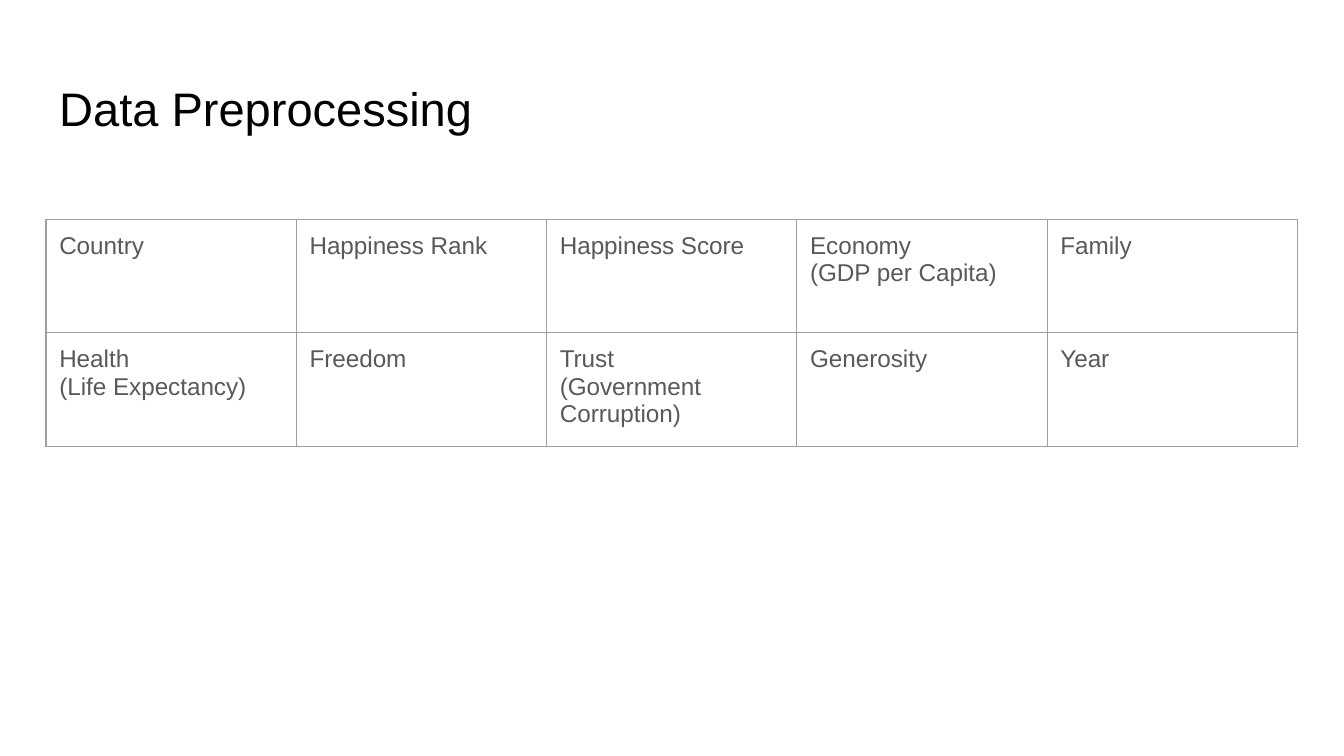
"""Build the Data Preprocessing slide with its table of dataset columns."""
from lxml import etree
from pptx import Presentation
from pptx import util as u
from pptx.dml import color
from pptx.enum import text
from pptx.oxml import ns

COLORS = {"title": "000000", "field": "595959", "border": "9E9E9E"}
INSET = u.Cm(0.25)
FIELDS = [
    ["Country", "Happiness Rank", "Happiness Score", "Economy\n(GDP per Capita)", "Family"],
    ["Health\n(Life Expectancy)", "Freedom", "Trust\n(Government Corruption)", "Generosity", "Year"],
]


def style_text(frame, size, hex_color):
    for paragraph in frame.paragraphs:
        for run in paragraph.runs:
            run.font.name = "Arial"
            run.font.size = u.Pt(size)
            run.font.color.rgb = color.RGBColor.from_string(hex_color)


def add_borders(cell):
    properties = cell._tc.get_or_add_tcPr()
    for side in ("a:lnL", "a:lnR", "a:lnT", "a:lnB"):
        line = etree.SubElement(properties, ns.qn(side), w=str(u.Pt(0.75)))
        fill = etree.SubElement(line, ns.qn("a:solidFill"))
        etree.SubElement(fill, ns.qn("a:srgbClr"), val=COLORS["border"])


prs = Presentation()
prs.slide_width, prs.slide_height = u.Cm(25.4), u.Cm(14.29)
slide = prs.slides.add_slide(prs.slide_layouts[6])

heading = slide.shapes.add_textbox(u.Cm(0.87), u.Cm(1.24), u.Cm(23.67), u.Cm(1.6)).text_frame
heading.word_wrap = True
heading.vertical_anchor = text.MSO_ANCHOR.MIDDLE
heading.margin_left = heading.margin_right = heading.margin_top = heading.margin_bottom = INSET
heading.text = "Data Preprocessing"
style_text(heading, 25.2, COLORS["title"])

column_width, row_height = u.Cm(4.73), u.Cm(2.14)
column_count, row_count = len(FIELDS[0]), len(FIELDS)
fields_table = slide.shapes.add_table(
    row_count, column_count, u.Cm(0.87), u.Cm(4.15),
    column_width * column_count, row_height * row_count,
).table
fields_table.first_row = fields_table.horz_banding = False

for row, names in enumerate(FIELDS):
    for column, name in enumerate(names):
        cell = fields_table.cell(row, column)
        cell.margin_left = cell.margin_right = cell.margin_top = cell.margin_bottom = INSET
        cell.text_frame.text = name
        style_text(cell.text_frame, 13, COLORS["field"])
        add_borders(cell)
        cell.fill.background()

prs.save("out.pptx")
